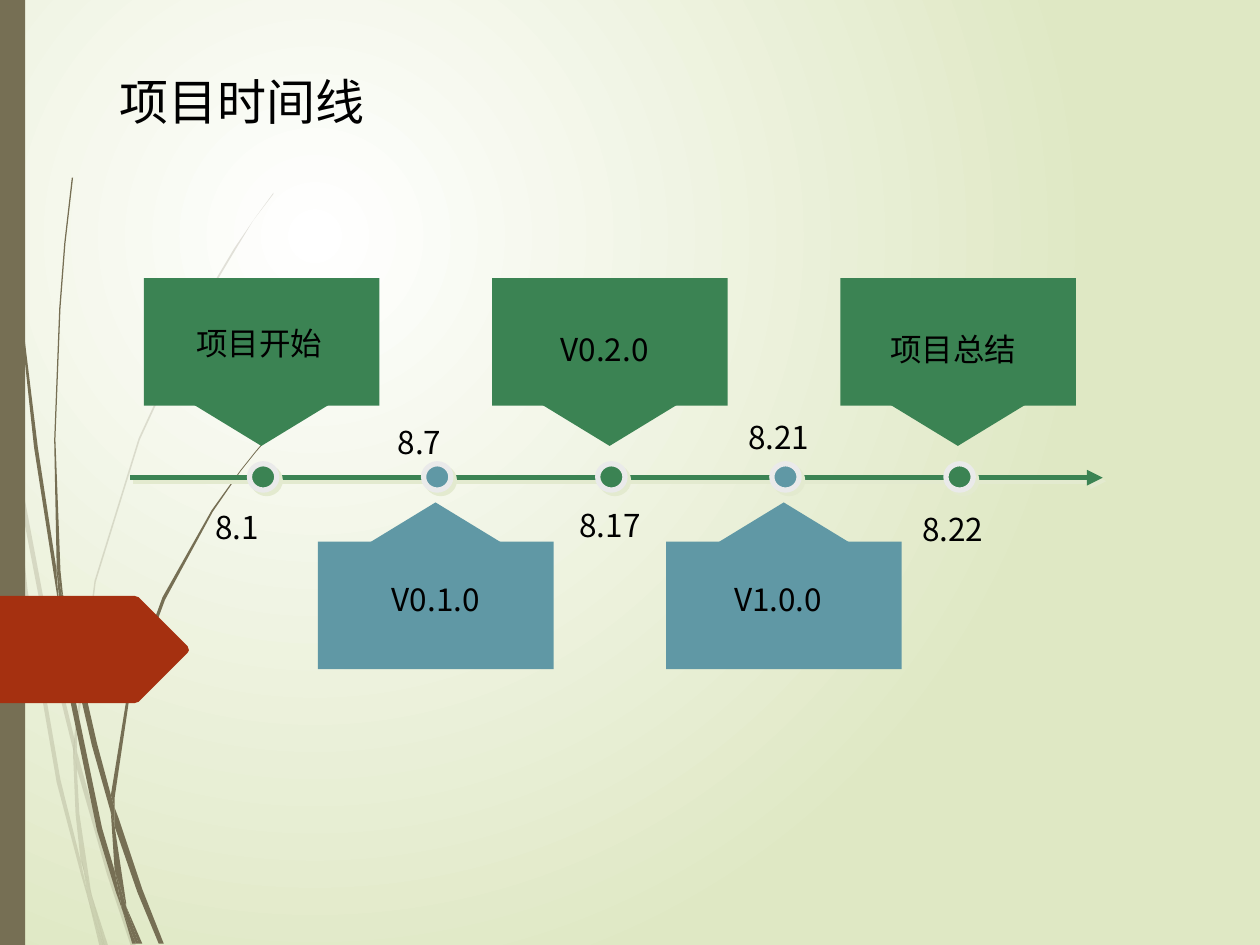
from dataclasses import dataclass

from lxml.etree import SubElement
from pptx import Presentation
from pptx.dml.color import RGBColor
from pptx.enum.shapes import MSO_CONNECTOR as Connector, MSO_SHAPE as Shape
from pptx.enum.text import MSO_ANCHOR as Anchor, MSO_AUTO_SIZE as AutoSize, PP_ALIGN as Align
from pptx.oxml.ns import qn
from pptx.util import Cm, Pt


@dataclass(frozen=True)
class Theme:
    green: str = "3B8353"
    blue: str = "6098A5"
    ring: str = "EAEAEA"
    shadow: str = "E3EACF"
    brown: str = "766F54"
    red: str = "A53010"
    ink: str = "000000"
    glow: str = "FFFFFF"
    meadow: str = "DFE8C4"
    font: str = "Noto Sans CJK SC"
    title_size: int = 28
    label_size: int = 18


THEME = Theme()
GRID = Cm(0.0254)  # one unit of the outline coordinates below

# Grass outlines: x, y pairs on the grid
PALE_GRASS = [
    [(8, 350), (6, 322), (0, 282), (0, 299), (7, 344)],
    [(40, 522), (59, 599), (59, 586), (43, 520), (10, 345), (12, 376)],
    [(64, 607), (61, 596), (61, 610), (85, 694), (104, 751), (108, 751), (88, 692)],
    [(83, 751), (86, 751), (73, 711)],
    [(64, 683), (48, 619), (22, 469), (12, 376), (8, 350), (19, 470), (45, 621),
     (64, 693), (70, 714), (69, 707)],
    [(58, 599), (60, 646), (64, 683), (67, 692), (73, 711), (72, 706), (63, 646),
     (61, 610), (61, 608)],
    [(61, 584), (76, 462), (111, 349), (159, 245), (187, 198), (201, 175), (217, 154),
     (217, 153), (201, 175), (186, 197), (158, 244), (110, 348), (75, 461), (59, 584),
     (59, 586), (61, 596)],
    [(70, 714), (79, 751), (82, 751)],
    [(61, 608), (61, 610), (61, 596), (59, 586), (58, 599)],
    [(67, 692), (65, 683), (69, 707), (70, 714), (82, 751), (83, 751), (73, 711)],
]
DARK_GRASS = [
    [(5, 110), (14, 233), (27, 355), (46, 477), (47, 481), (45, 457), (45, 453),
     (30, 355), (15, 232), (6, 109), (4, 48), (3, 0), (2, 0), (3, 48)],
    [(73, 592), (88, 645), (88, 633), (88, 631), (77, 590), (50, 472), (53, 505)],
    [(94, 649), (91, 641), (91, 656), (109, 708), (126, 749), (130, 749), (113, 706)],
    [(91, 691), (81, 657), (60, 556), (53, 505), (47, 477), (56, 557), (77, 659),
     (92, 708), (97, 722), (96, 717)],
    [(50, 472), (48, 453), (44, 349), (48, 245), (52, 193), (58, 141), (57, 141),
     (51, 193), (47, 245), (43, 349), (45, 449), (49, 472)],
    [(110, 749), (113, 749), (100, 719)],
    [(47, 477), (53, 505), (50, 472), (49, 472), (45, 449), (45, 453)],
    [(91, 633), (103, 552), (131, 476), (169, 406), (191, 374), (203, 359), (216, 344),
     (215, 344), (203, 358), (191, 373), (168, 405), (129, 474), (101, 551), (88, 631),
     (91, 641)],
    [(97, 722), (105, 749), (108, 749)],
    [(88, 645), (91, 691), (96, 706), (100, 719), (100, 716), (91, 656), (90, 651)],
    [(88, 645), (90, 651), (91, 656), (91, 641), (88, 631), (88, 633)],
    [(96, 706), (91, 691), (96, 717), (97, 722), (108, 749), (110, 749), (100, 719)],
]
RED_TAG = [(107, 558), (110, 557), (149, 518), (150, 516), (149, 513), (110, 474),
           (107, 473), (-3, 473), (-3, 558)]

# Milestones: name, its left, top and width; date, its left, top and width (cm)
MILESTONES = [
    (("项目开始", 3.71, 6.4, 3.07), ("8.1", 4.09, 10.11, 1.42)),
    (("V0.1.0", 7.65, 11.56, 2.39), ("8.7", 7.77, 8.41, 1.42)),
    (("V0.2.0", 11.05, 6.53, 2.39), ("8.17", 11.43, 10.08, 1.8)),
    (("V1.0.0", 14.55, 11.56, 2.39), ("8.21", 14.83, 8.31, 1.8)),
    (("项目总结", 17.7, 6.53, 3.07), ("8.22", 18.34, 10.16, 1.8)),
]
STEP = 3.51  # cm between milestones


def rgb(color):
    return RGBColor.from_string(color)


def paint(shape, color):
    shape.shadow.inherit = False
    shape.fill.solid()
    shape.fill.fore_color.rgb = rgb(color)
    shape.line.fill.background()


def add_shape(shapes, kind, left, top, width, height, color, flipped=False):
    shape = shapes.add_shape(kind, Cm(left), Cm(top), Cm(width), Cm(height))
    paint(shape, color)
    if flipped:
        shape._element.spPr.find(qn("a:xfrm")).set("flipV", "1")
    return shape


def add_outline(shapes, points, color, opacity=100):
    builder = shapes.build_freeform(*points[0], scale=GRID)
    builder.add_line_segments(points[1:], close=True)
    shape = builder.convert_to_shape()
    paint(shape, color)
    if opacity < 100:
        tint = shape._element.spPr.find(".//" + qn("a:srgbClr"))
        SubElement(tint, qn("a:alpha"), val=str(opacity * 1000))


def cast_shadow(effects):
    shadow = SubElement(effects, qn("a:outerShdw"), dist=str(Pt(2.8)), dir="2700000",
                        algn="ctr", rotWithShape="0")
    SubElement(shadow, qn("a:srgbClr"), val=THEME.shadow)


def write(box, text, size):
    frame = box.text_frame
    frame.text = text
    frame.word_wrap = False
    frame.auto_size = AutoSize.SHAPE_TO_FIT_TEXT
    frame.vertical_anchor = Anchor.TOP
    para = frame.paragraphs[0]
    para.alignment = Align.LEFT
    span = para.runs[0]
    span.font.size = Pt(size)
    span.font.name = THEME.font
    span.font.color.rgb = rgb(THEME.ink)
    SubElement(span._r.get_or_add_rPr(), qn("a:ea"), typeface=THEME.font)


def add_label(page, text, left, top, width):
    box = page.shapes.add_textbox(Cm(left), Cm(top), Cm(width), Cm(1.02))
    write(box, text, THEME.label_size)


def add_background(page):
    fill = page.background.fill
    fill.gradient()
    for stop, color in zip(fill.gradient_stops, (THEME.glow, THEME.meadow)):
        stop.color.rgb = rgb(color)
    gradient = page._element.find(".//" + qn("a:gradFill"))
    gradient.remove(gradient.find(qn("a:lin")))
    circle = SubElement(gradient, qn("a:path"), path="circle")
    SubElement(circle, qn("a:fillToRect"), l="50000", t="50000", r="100000", b="100000")


def add_decoration(page):
    for outlines, opacity in ((PALE_GRASS, 20), (DARK_GRASS, 100)):
        group = page.shapes.add_group_shape()
        for points in outlines:
            add_outline(group.shapes, points, THEME.brown, opacity)
    add_shape(page.shapes, Shape.RECTANGLE, 0, 0, 0.51, 19.05, THEME.brown)
    add_outline(page.shapes, RED_TAG, THEME.red)


def add_axis(page):
    axis = page.shapes.add_connector(Connector.STRAIGHT, Cm(2.62), Cm(9.63), Cm(22.23), Cm(9.63))
    axis.line.color.rgb = rgb(THEME.green)
    axis.line.width = Pt(3)
    SubElement(axis.line._get_or_add_ln(), qn("a:tailEnd"), type="triangle")
    cast_shadow(SubElement(axis._element.spPr, qn("a:effectLst")))


def add_milestone(page, index):
    below = index % 2 == 1
    color = THEME.blue if below else THEME.green
    shift = index * STEP
    dot = add_shape(page.shapes, Shape.OVAL, 5.03 + shift, 9.35, 0.55, 0.53, color)
    dot.line.color.rgb = rgb(THEME.ring)
    dot.line.width = Pt(3)
    cast_shadow(dot._element.spPr.find(qn("a:effectLst")))
    card = page.shapes.add_group_shape().shapes
    add_shape(card, Shape.RECTANGLE, 2.9 + shift, 10.92 if below else 5.61,
              4.75, 2.57, color, below)
    add_shape(card, Shape.FLOWCHART_MERGE, 3.81 + shift, 10.13 if below else 8.1,
              2.92, 0.89, color, below)


def main():
    deck = Presentation()
    deck.slide_width, deck.slide_height = Cm(25.4), Cm(19.05)
    page = deck.slides.add_slide(deck.slide_layouts[5])
    add_background(page)
    add_decoration(page)

    # Title
    title = page.shapes.title
    title.left, title.top, title.width, title.height = Cm(2.16), Cm(1.32), Cm(5.51), Cm(1.45)
    write(title, "项目时间线", THEME.title_size)

    # Timeline
    add_axis(page)
    for index in range(len(MILESTONES)):
        add_milestone(page, index)
    for name, date in MILESTONES:
        add_label(page, *name)
        add_label(page, *date)
    deck.save("out.pptx")


if __name__ == "__main__":
    main()
